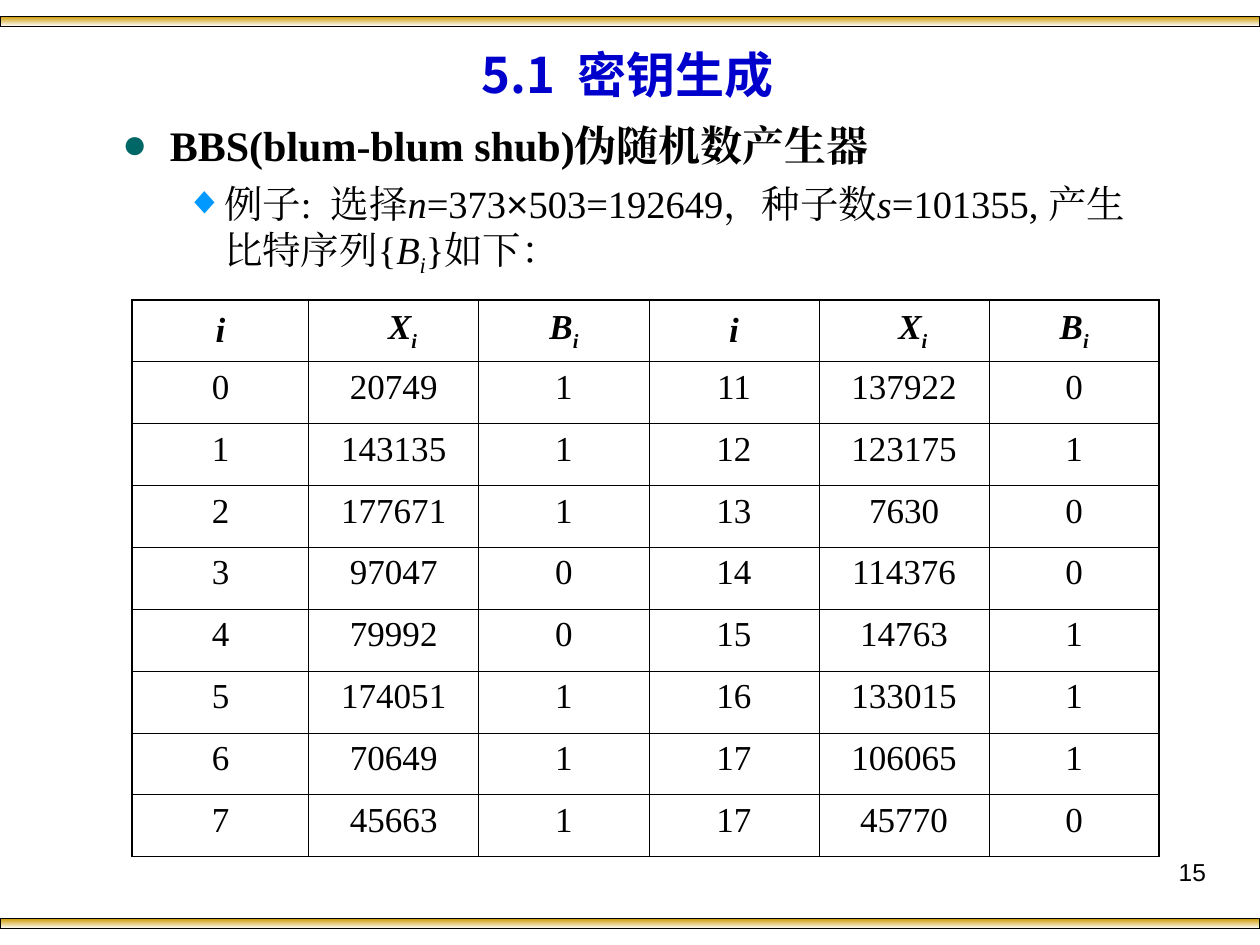
from lxml.etree import SubElement
from pptx import Presentation
from pptx.dml.color import RGBColor
from pptx.enum.shapes import MSO_SHAPE
from pptx.enum.text import MSO_ANCHOR, PP_ALIGN
from pptx.oxml.ns import qn
from pptx.util import Inches, Pt

COLORS = {
    "text": "000000",
    "title": "0000CC",
    "gold": "CC9900",
    "white": "FFFFFF",
    "disc": "006666",
    "diamond": "0099FF",
}
SERIF = "Times New Roman"


def add_run(paragraph, text, size, font=SERIF, color="text", bold=False, italic=False, sub=False):
    run = paragraph.add_run()
    run.text = text
    run.font.size = Pt(size)
    run.font.name = font
    run.font.bold = bold
    run.font.italic = italic
    run.font.color.rgb = RGBColor.from_string(COLORS[color])
    SubElement(run.font._element, qn("a:ea"), typeface=font)
    if sub:
        run.font._element.set("baseline", "-25000")


def add_box(left, top, width, height, anchor=MSO_ANCHOR.TOP):
    box = slide.shapes.add_textbox(Inches(left), Inches(top), Inches(width), Inches(height))
    box.text_frame.word_wrap = True
    box.text_frame.vertical_anchor = anchor
    return box.text_frame


prs = Presentation()
prs.slide_width, prs.slide_height = Inches(10), Inches(7.5)
slide = prs.slides.add_slide(prs.slide_layouts[6])

for top in (0.13, 7.29):
    bar = slide.shapes.add_shape(MSO_SHAPE.RECTANGLE, 0, Inches(top), Inches(10), Inches(0.08))
    bar.shadow.inherit = False
    bar.fill.gradient()
    bar.fill.gradient_angle = 270
    for stop, name, position in zip(bar.fill.gradient_stops, ("gold", "white"), (0, 1)):
        stop.color.rgb = RGBColor.from_string(COLORS[name])
        stop.position = position
    bar.line.color.rgb = RGBColor.from_string(COLORS["text"])
    bar.line.width = Pt(0.75)

page_number = add_box(7.17, 6.75, 2.5, 0.52).paragraphs[0]
page_number.alignment = PP_ALIGN.RIGHT
add_run(page_number, "15", 14, "Arial")

title = add_box(0.31, 0.28, 9.34, 0.62, MSO_ANCHOR.MIDDLE).paragraphs[0]
title.alignment = PP_ALIGN.CENTER
add_run(title, "5.1  密钥生成", 28, "Noto Sans CJK SC", "title", bold=True)

body = add_box(0.87, 0.9, 8.22, 1.36)
topic, example = body.paragraphs[0], body.add_paragraph()
example.level = 1
for paragraph, margin, hanging, before, bullet, color in (
    (topic, 0.38, 0.38, 6, "●", "disc"),
    (example, 0.81, 0.31, 5.5, "◆", "diamond"),
):
    paragraph.space_before = Pt(before)
    properties = paragraph._p.get_or_add_pPr()
    properties.set("marL", str(Inches(margin)))
    properties.set("indent", str(-Inches(hanging)))
    bullet_color = SubElement(properties, qn("a:buClr"))
    SubElement(bullet_color, qn("a:srgbClr"), val=COLORS[color])
    SubElement(properties, qn("a:buFont"), typeface=SERIF)
    SubElement(properties, qn("a:buChar"), char=bullet)

add_run(topic, "BBS(blum-blum shub)伪随机数产生器", 24, bold=True)
for text, style in (
    ("例子:  选择", {}),
    ("n", {"italic": True}),
    ("=373", {}),
    ("×", {"font": "Arial"}),
    ("503=192649，种子数", {}),
    ("s", {"italic": True}),
    ("=101355, 产生比特序列{", {}),
    ("B", {"italic": True}),
    ("i", {"italic": True, "sub": True}),
    ("}如下：", {}),
):
    add_run(example, text, 22, **style)

rows = [
    ("i", "Xi", "Bi") * 2,
    (0, 20749, 1, 11, 137922, 0),
    (1, 143135, 1, 12, 123175, 1),
    (2, 177671, 1, 13, 7630, 0),
    (3, 97047, 0, 14, 114376, 0),
    (4, 79992, 0, 15, 14763, 1),
    (5, 174051, 1, 16, 133015, 1),
    (6, 70649, 1, 17, 106065, 1),
    (7, 45663, 1, 17, 45770, 0),
]
last_row, last_col = len(rows) - 1, len(rows[0]) - 1
sequence = slide.shapes.add_table(
    len(rows), len(rows[0]), Inches(1.05), Inches(2.38), Inches(8.15), Inches(4.42)
).table
sequence.first_row = sequence.horz_banding = False
for c, column in enumerate(sequence.columns):
    column.width = Inches(1.35 if c else 1.4)

for r, values in enumerate(rows):
    sequence.rows[r].height = Inches(4.42 / len(rows))
    for c, value in enumerate(values):
        cell = sequence.cell(r, c)
        paragraph = cell.text_frame.paragraphs[0]
        paragraph.alignment = PP_ALIGN.CENTER
        paragraph.space_before = Pt(5)
        if r == 0:
            cell.vertical_anchor = MSO_ANCHOR.MIDDLE
            if value == "Xi":
                cell.margin_left = Inches(0.24)
            add_run(paragraph, value[0], 20, bold=True, italic=True)
            if value[1:]:
                add_run(paragraph, value[1:], 20, bold=True, italic=True, sub=True)
        else:
            add_run(paragraph, str(value), 20)

        borders = cell._tc.get_or_add_tcPr()
        for side, outer in (
            ("L", c == 0), ("R", c == last_col), ("T", r == 0), ("B", r == last_row)
        ):
            border = SubElement(borders, qn(f"a:ln{side}"), w=str(Pt(1.08 if outer else 0.45)))
            stroke = SubElement(border, qn("a:solidFill"))
            SubElement(stroke, qn("a:srgbClr"), val=COLORS["text"])
        cell.fill.background()

prs.save("out.pptx")
